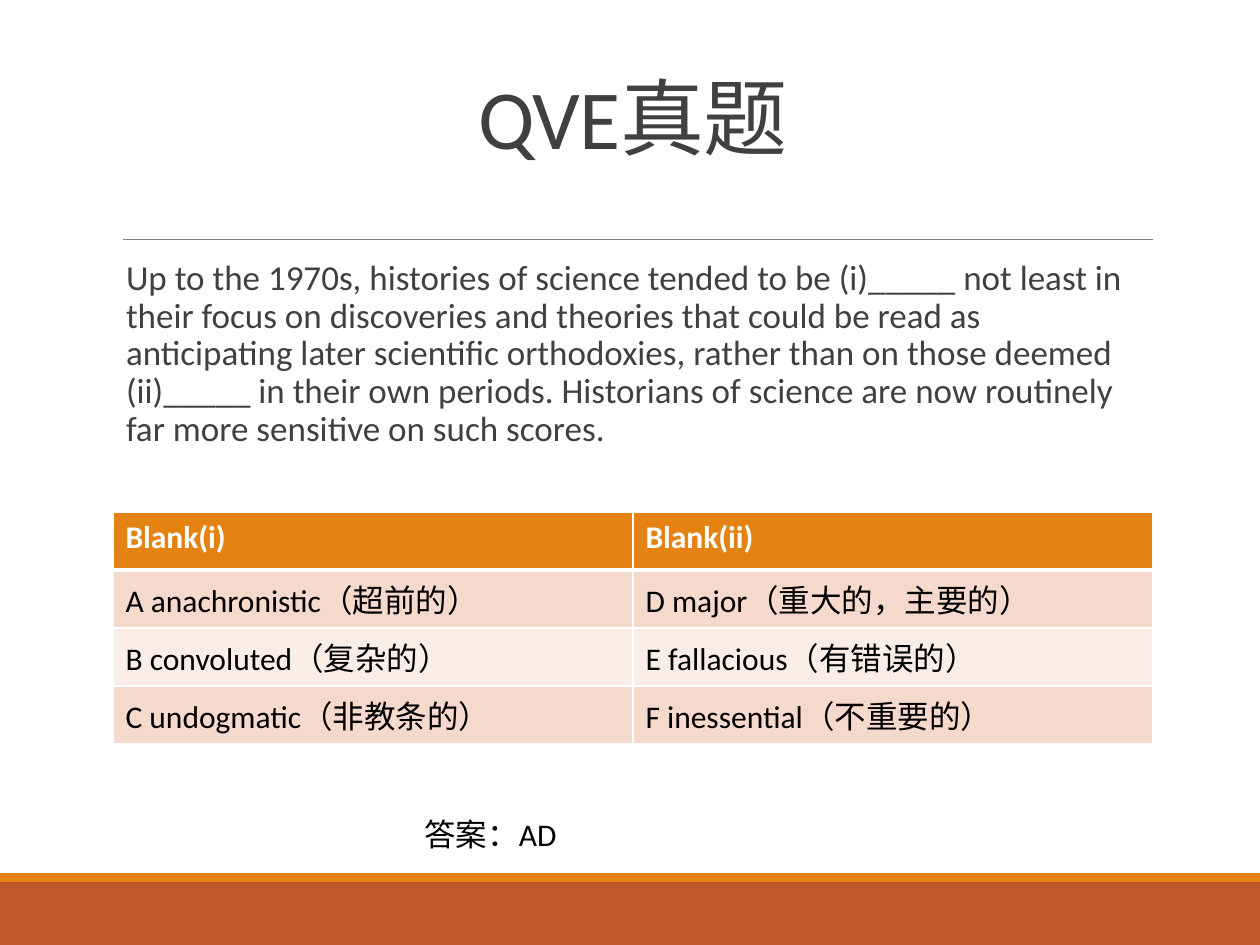
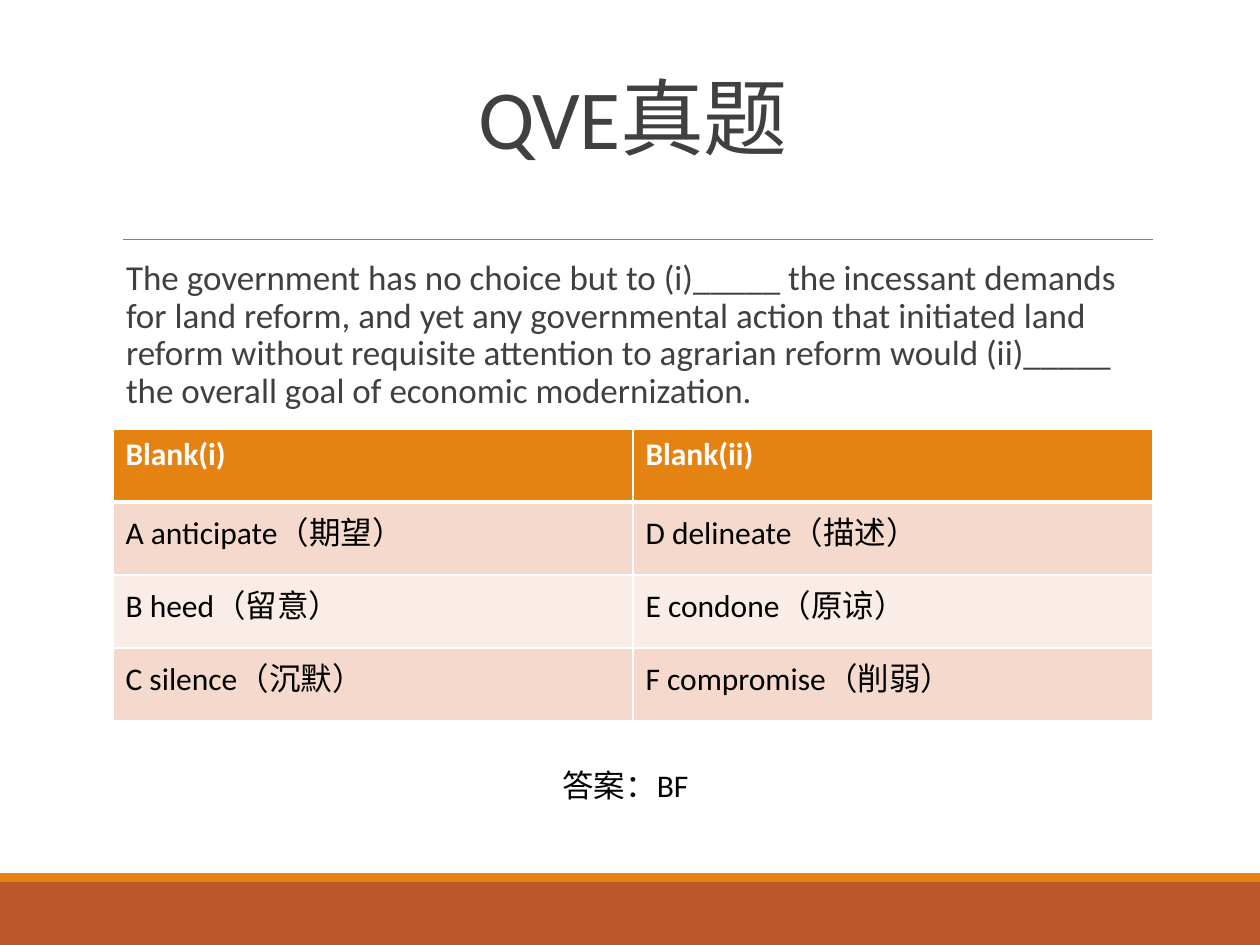
from lxml import etree
from pptx import Presentation
from pptx.dml.color import RGBColor
from pptx.enum.shapes import MSO_CONNECTOR as Connector, MSO_SHAPE as Shape
from pptx.enum.text import MSO_ANCHOR as Anchor, MSO_AUTO_SIZE as AutoSize, PP_ALIGN as Align
from pptx.oxml.ns import qn
from pptx.util import Emu, Pt

EMU_PER_PX = 914400 / 126
FONT = "Calibri"
ORANGE, RUST, GRAY, DARK = "E48312", "BD582C", "808080", "404040"
WHITE, BLACK = "FFFFFF", "000000"
ROW_FILLS = [ORANGE, "F5D9CC", "FAEDE7", "F5D9CC"]


def px(*lengths):
    return [Emu(round(length * EMU_PER_PX)) for length in lengths]


def style_text(text_frame, size, color, bold=False):
    for paragraph in text_frame.paragraphs:
        for run in paragraph.runs:
            run.font.name = FONT
            run.font.size = Pt(size)
            run.font.bold = bold
            run.font.color.rgb = RGBColor.from_string(color)


questions = [
    {
        "passage": "Up to the 1970s, histories of science tended to be (i)_____ not least in "
                   "their focus on discoveries and theories that could be read as anticipating "
                   "later scientific orthodoxies, rather than on those deemed (ii)_____ in their "
                   "own periods. Historians of science are now routinely far more sensitive on "
                   "such scores.",
        "choices": [("A anachronistic（超前的）", "D major（重大的，主要的）"),
                    ("B convoluted（复杂的）", "E fallacious（有错误的）"),
                    ("C undogmatic（非教条的）", "F inessential（不重要的）")],
        "table_at": (113, 512), "row_height": 58,
        "answer": "答案：AD", "answer_box": (412, 809, 387, 50),
    },
    {
        "passage": "The government has no choice but to (i)_____ the incessant demands for land "
                   "reform, and yet any governmental action that initiated land reform without "
                   "requisite attention to agrarian reform would (ii)_____ the overall goal of "
                   "economic modernization.",
        "choices": [("A anticipate（期望）", "D delineate（描述）"),
                    ("B heed（留意）", "E condone（原谅）"),
                    ("C silence（沉默）", "F compromise（削弱）")],
        "table_at": (113, 429), "row_height": 73,
        "answer": "答案：BF", "answer_box": (550, 760, 218, 50),
    },
]

presentation = Presentation()
presentation.slide_width, presentation.slide_height = px(1260, 945)

for question in questions:
    slide = presentation.slides.add_slide(presentation.slide_layouts[5])

    # Footer bands
    for top, height, color in [(882, 63, RUST), (873, 9, ORANGE)]:
        band = slide.shapes.add_shape(Shape.RECTANGLE, *px(0, top, 1260, height))
        band.shadow.inherit = False
        band.fill.solid()
        band.fill.fore_color.rgb = RGBColor.from_string(color)
        band.line.fill.background()

    # Rule under the title
    rule = slide.shapes.add_connector(Connector.STRAIGHT, *px(123, 239, 1153, 239))
    rule.line.color.rgb = RGBColor.from_string(GRAY)
    rule.line.width = Pt(0.5)
    etree.SubElement(rule._element.spPr, qn("a:effectLst"))

    # Title
    title = slide.shapes.title
    title.left, title.top, title.width, title.height = px(113, 39, 1040, 134)
    title.text_frame.text = "QVE真题"
    title.text_frame.auto_size = AutoSize.NONE
    title.text_frame.vertical_anchor = Anchor.BOTTOM
    heading = title.text_frame.paragraphs[0]
    heading.alignment = Align.CENTER
    heading.line_spacing = 0.85
    style_text(title.text_frame, 48, DARK)
    heading.runs[0].font._element.set("spc", "-50")

    # Passage
    passage = slide.shapes.add_textbox(*px(113, 254, 1040, 554)).text_frame
    passage.word_wrap = True
    passage.margin_left, passage.margin_right = px(13, 0)
    passage.text = question["passage"]
    passage.paragraphs[0].line_spacing = 0.9
    style_text(passage, 20, DARK)

    # Table of choices
    rows = [("Blank(i)", "Blank(ii)")] + question["choices"]
    row_height = question["row_height"]
    table = slide.shapes.add_table(
        len(rows), 2, *px(*question["table_at"], 1040, row_height * len(rows))).table
    for row_index, row in enumerate(rows):
        table.rows[row_index].height = px(row_height)[0]
        is_header = row_index == 0
        for column_index, text in enumerate(row):
            cell = table.cell(row_index, column_index)
            cell.text_frame.text = text
            style_text(cell.text_frame, 18, WHITE if is_header else BLACK, is_header)

            # White borders, thicker below the header
            properties = cell._tc.get_or_add_tcPr()
            for side in ("lnL", "lnR", "lnT", "lnB"):
                thick = (row_index, side) in [(0, "lnB"), (1, "lnT")]
                border = etree.SubElement(properties, qn(f"a:{side}"), w=str(Pt(3 if thick else 1)))
                border_fill = etree.SubElement(border, qn("a:solidFill"))
                etree.SubElement(border_fill, qn("a:srgbClr"), val=WHITE)
            cell.fill.solid()
            cell.fill.fore_color.rgb = RGBColor.from_string(ROW_FILLS[row_index])

    # Answer
    answer = slide.shapes.add_textbox(*px(*question["answer_box"])).text_frame
    answer.word_wrap = True
    answer.auto_size = AutoSize.SHAPE_TO_FIT_TEXT
    answer.text = question["answer"]
    style_text(answer, 18, BLACK)

presentation.save("out.pptx")
